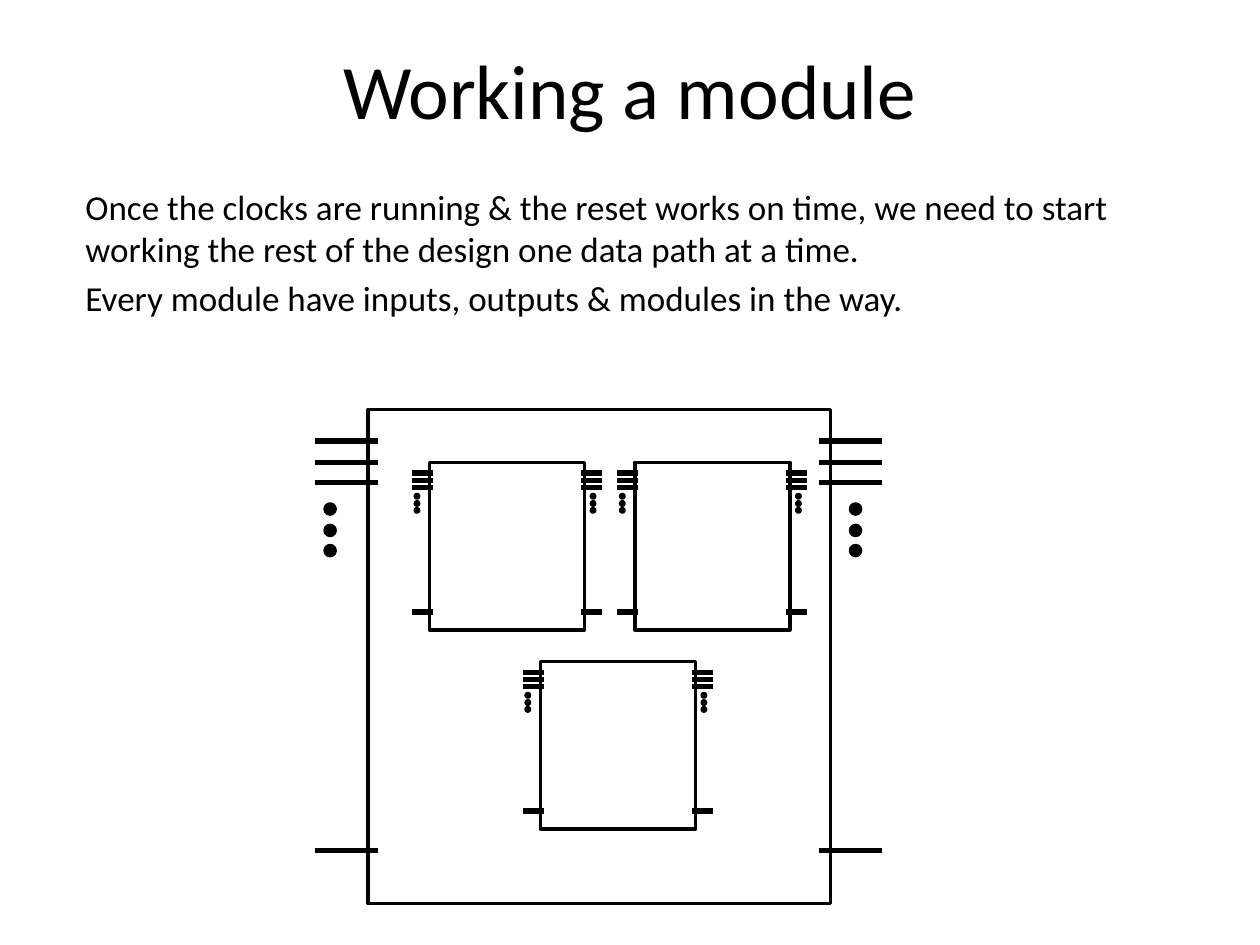
"""Build the slide on bringing up a module with its inputs, outputs and inner modules."""
import pptx
import pptx.dml.color
import pptx.enum.shapes
import pptx.enum.text
import pptx.oxml.ns
import pptx.util
from lxml import etree

Inches, Pt = pptx.util.Inches, pptx.util.Pt
SHAPE = pptx.enum.shapes.MSO_SHAPE
ALIGN = pptx.enum.text.PP_ALIGN
ANCHOR = pptx.enum.text.MSO_ANCHOR

COLORS = {"ink": "000000"}
FONT = "Calibri"
TITLE = ["Working a module"]
BODY = [
    "Once the clocks are running & the reset works on time, we need to start "
    "working the rest of the design one data path at a time.",
    "Every module have inputs, outputs & modules in the way.",
]
OUTER = (2.92, 3.25, 3.67, 3.92)
INNER = [(3.41, 3.67, 1.23, 1.33), (5.04, 3.67, 1.23, 1.33), (4.29, 5.25, 1.23, 1.33)]
PIN_LEFTS = (-0.42, 3.58)
PIN_TOPS = (0.25, 0.42, 0.58, 3.5)
PIN_LEN = 0.5
DOT_LEFTS = (-0.34, 3.83)
DOT_TOPS = (0.75, 0.92, 1.08)
DOT_SIZE = 0.08


def ink():
    return pptx.dml.color.RGBColor.from_string(COLORS["ink"])


def add_text(slide, lines, spot, size, align, anchor):
    frame = slide.shapes.add_textbox(*map(Inches, spot)).text_frame
    frame.word_wrap = True
    frame.vertical_anchor = anchor
    for i, line in enumerate(lines):
        para = frame.paragraphs[0] if i == 0 else frame.add_paragraph()
        para.text = line
        para.alignment = align
        para.space_before = Pt(size * 0.2 if i else 0)
        para.font.name = FONT
        para.font.size = Pt(size)
        para.font.color.rgb = ink()


def add_form(shapes, kind, spot, solid):
    form = shapes.add_shape(kind, *map(Inches, spot))
    form.shadow.inherit = False
    form.line.color.rgb = ink()
    form.line.width = Pt(2)
    if solid:
        form.fill.solid()
        form.fill.fore_color.rgb = ink()
    else:
        form.fill.background()


def add_pin(shapes, left, top, length):
    ends = map(Inches, (left, top, left + length, top))
    pin = shapes.add_connector(pptx.enum.shapes.MSO_CONNECTOR.STRAIGHT, *ends)
    pin.line.color.rgb = ink()
    pin.line.width = Pt(3)
    etree.SubElement(pin._element.spPr, pptx.oxml.ns.qn("a:effectLst"))


def add_module(shapes, spot):
    left, top, width, height = spot
    across, down = width / OUTER[2], height / OUTER[3]
    add_form(shapes, SHAPE.RECTANGLE, spot, False)
    for x in PIN_LEFTS:
        for y in PIN_TOPS:
            add_pin(shapes, left + x * across, top + y * down, PIN_LEN * across)
    for x in DOT_LEFTS:
        for y in DOT_TOPS:
            dot = (left + x * across, top + y * down, DOT_SIZE * across, DOT_SIZE * down)
            add_form(shapes, SHAPE.OVAL, dot, True)


def main():
    deck = pptx.Presentation()
    deck.slide_width, deck.slide_height = Inches(10), Inches(7.5)
    slide = deck.slides.add_slide(deck.slide_layouts[6])
    add_text(slide, TITLE, (0.5, 0.08, 9, 1.25), 44, ALIGN.CENTER, ANCHOR.MIDDLE)
    add_text(slide, BODY, (0.58, 1.42, 9, 5.92), 20, ALIGN.LEFT, ANCHOR.TOP)
    add_module(slide.shapes, OUTER)
    for spot in INNER:
        add_module(slide.shapes.add_group_shape().shapes, spot)
    deck.save("out.pptx")


if __name__ == "__main__":
    main()
